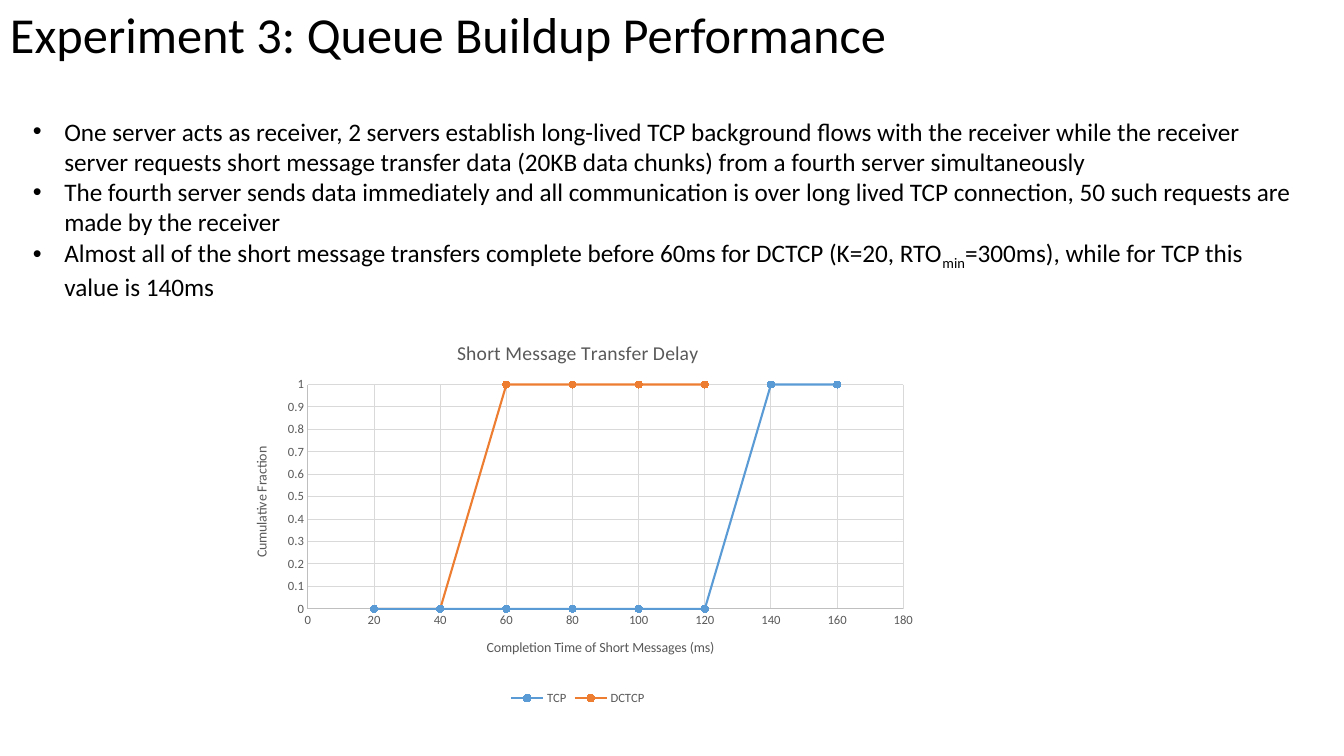
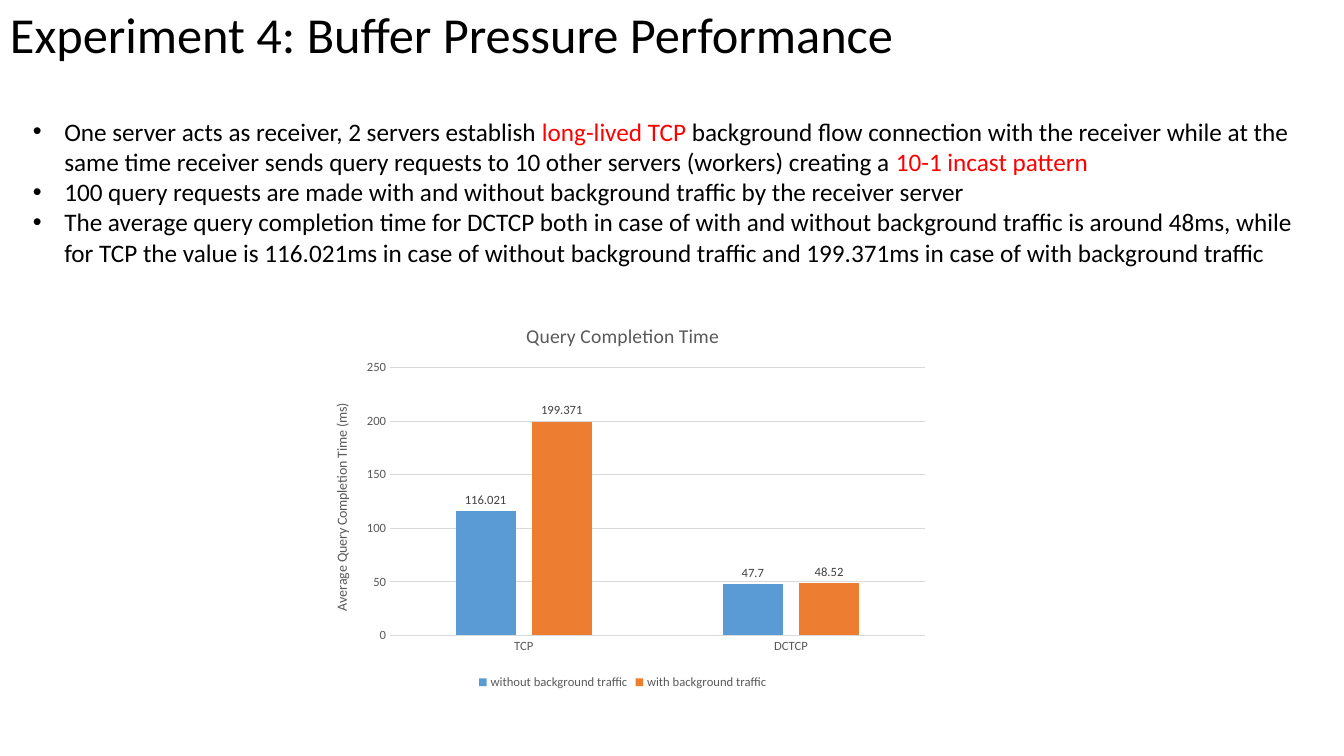
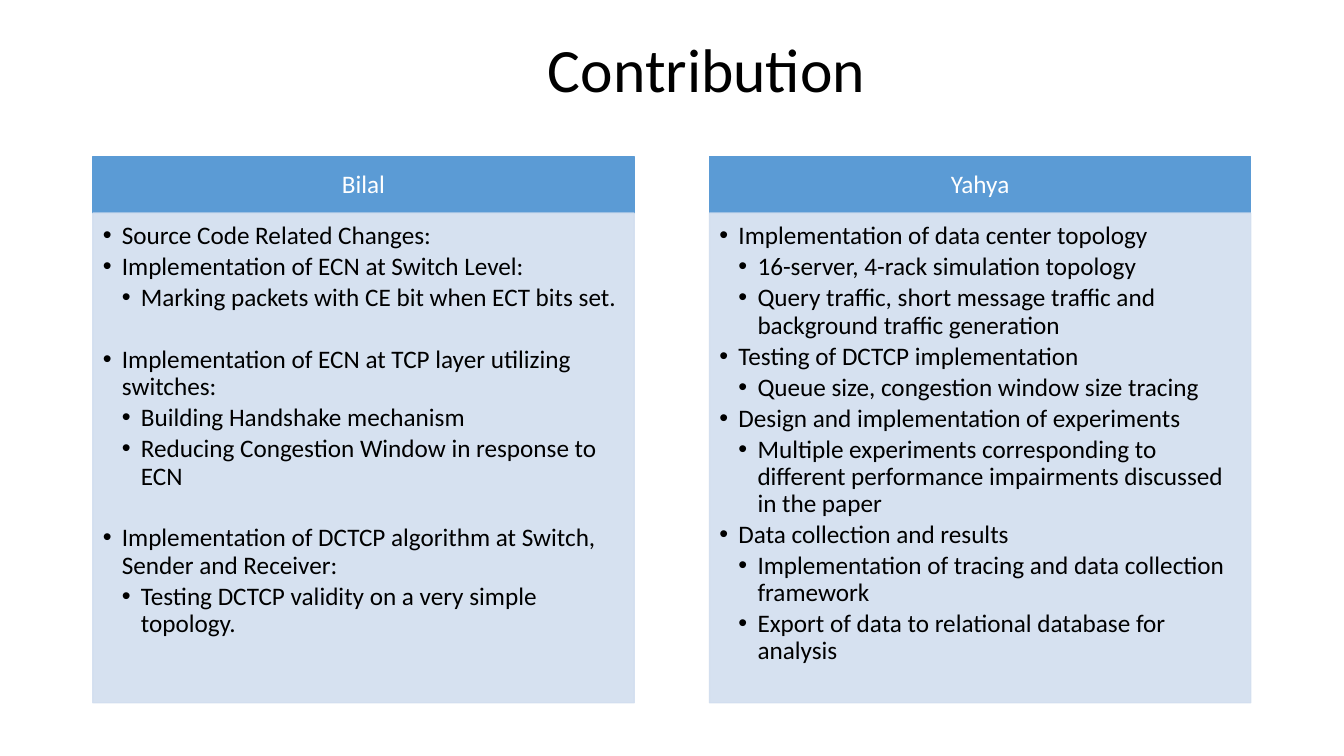
from lxml import etree
from pptx import Presentation, util as u
from pptx.chart import data
from pptx.dml.color import RGBColor
from pptx.enum import chart as ch, text
from pptx.oxml import ns

Cm, Pt = u.Cm, u.Pt
BLACK = RGBColor(0x00, 0x00, 0x00)
WHITE = RGBColor(0xFF, 0xFF, 0xFF)
RED = RGBColor(0xFF, 0x00, 0x00)
BLUE = RGBColor(0x5B, 0x9B, 0xD5)
ORANGE = RGBColor(0xED, 0x7D, 0x31)
PALE_BLUE = RGBColor(0xD2, 0xDE, 0xEF)
GREY = RGBColor(0x59, 0x59, 0x59)
LABEL_GREY = RGBColor(0x40, 0x40, 0x40)
AXIS_GREY = RGBColor(0xBF, 0xBF, 0xBF)
GRID_GREY = RGBColor(0xD9, 0xD9, 0xD9)
FONT = "Calibri"
TITLE_AND_CONTENT, COMPARISON = 1, 4


def style_font(font, size, color):
    """Apply the deck's regular face in one size and colour."""
    font.name, font.size, font.bold = FONT, Pt(size), False
    font.color.rgb = color


def subscript(run):
    """Lower a run below the baseline."""
    run.font.size = Pt(18)
    run._r.get_or_add_rPr().set("baseline", "-25000")


def highlight(run):
    """Colour a run red."""
    run.font.color.rgb = RED


class Deck:
    """Holds the shared style and the slide being built."""

    def __init__(self):
        self.prs = Presentation()
        self.prs.slide_width, self.prs.slide_height = Cm(33.87), Cm(19.05)
        self.slide = None

    def place(self, idx, box, anchor, insets=(0.25, 0.13, 0.25, 0.13)):
        """Move a placeholder and return it ready for text."""
        holder = next(p for p in self.slide.placeholders
                      if p.placeholder_format.idx == idx)
        holder.left, holder.top, holder.width, holder.height = map(Cm, box)
        frame = holder.text_frame
        frame.auto_size, frame.word_wrap = text.MSO_AUTO_SIZE.NONE, True
        frame.vertical_anchor = anchor
        (frame.margin_left, frame.margin_top,
         frame.margin_right, frame.margin_bottom) = map(Cm, insets)
        return holder

    def title(self, layout, wording, left=0, height=1.85, size=36):
        """Start a slide with its title."""
        self.slide = self.prs.slides.add_slide(self.prs.slide_layouts[layout])
        heading = self.place(0, (left, 0, 29.21, height),
                             text.MSO_ANCHOR.MIDDLE).text_frame
        heading.text = wording
        line = heading.paragraphs[0]
        line.alignment, line.line_spacing = text.PP_ALIGN.LEFT, 0.9
        style_font(line.runs[0].font, size, BLACK)

    def bullets(self, frame, groups, indent, spacing=1.0, after=0, accent=None):
        """Write groups of (level, wording); bars enclose accented words."""
        lines = [(level, wording, 22 if g and not i else 0)
                 for g, group in enumerate(groups)
                 for i, (level, wording) in enumerate(group)]
        for n, (level, wording, before) in enumerate(lines):
            line = frame.add_paragraph() if n else frame.paragraphs[0]
            line.level, line.line_spacing = level, spacing
            line.space_before, line.space_after = Pt(before), Pt(after)
            props = line._p.get_or_add_pPr()
            props.set("marL", str(Cm(indent * (level + 1))))
            props.set("indent", str(-Cm(indent)))
            etree.SubElement(props, ns.qn("a:buChar")).set("char", "•")
            for k, piece in enumerate(wording.split("|")):
                if piece:
                    run = line.add_run()
                    run.text = piece
                    style_font(run.font, 18, BLACK)
                    if k % 2:
                        accent(run)

    def findings(self, height, lines, accent):
        """Fill the body of an experiment slide."""
        body = self.place(1, (0.58, 2.79, 32.46, height), text.MSO_ANCHOR.TOP)
        self.bullets(body.text_frame, [[(0, line) for line in lines]], 0.79,
                     accent=accent)

    def panel(self, column, person, groups):
        """Draw a contributor's header and list."""
        left, width = 2.34 + 15.54 * column, 13.64
        header = self.place(1 + 2 * column, (left, 3.94, width, 1.44),
                            text.MSO_ANCHOR.MIDDLE, (0.36, 0.2, 0.36, 0.2))
        header.text_frame.text = person
        name = header.text_frame.paragraphs[0]
        name.alignment, name.line_spacing = text.PP_ALIGN.CENTER, 0.9
        name.space_before = Pt(0)
        style_font(name.runs[0].font, 18, WHITE)
        work = self.place(2 + 2 * column, (left, 5.37, width, 12.34),
                          text.MSO_ANCHOR.TOP, (0.25, 0.25, 0.36, 0.4))
        self.bullets(work.text_frame, groups, 0.48, 0.9, 2.7)
        for part, color in ((header, BLUE), (work, PALE_BLUE)):
            part.fill.solid()
            part.fill.fore_color.rgb = color
            part.line.color.rgb = color
            part.line.width = Pt(1)
        for tint in work._element.spPr.iter(ns.qn("a:srgbClr")):
            etree.SubElement(tint, ns.qn("a:alpha")).set("val", "90000")

    def chart(self, kind, box, heading, values, plot_box):
        """Add a chart with the shared title, legend and plot layout."""
        chart = self.slide.shapes.add_chart(kind, *map(Cm, box), values).chart
        style_font(chart.font, 10, BLACK)
        chart.has_title = True
        self.caption(chart.chart_title, heading, 14)
        chart.has_legend = True
        chart.legend.position = ch.XL_LEGEND_POSITION.BOTTOM
        chart.legend.include_in_layout = False
        style_font(chart.legend.font, 9, GREY)
        chart.plots[0].vary_by_categories = False
        area = chart.element.xpath(".//c:plotArea")[0]
        for old in area.findall(ns.qn("c:layout")):
            area.remove(old)
        layout = etree.Element(ns.qn("c:layout"))
        area.insert(0, layout)
        manual = etree.SubElement(layout, ns.qn("c:manualLayout"))
        settings = [("layoutTarget", "inner"), ("xMode", "edge"),
                    ("yMode", "edge"), *zip("xywh", map(str, plot_box))]
        for tag, value in settings:
            etree.SubElement(manual, ns.qn("c:" + tag)).set("val", value)
        return chart

    def caption(self, owner, wording, size):
        """Write a chart or axis title."""
        owner.text_frame.text = wording
        style_font(owner.text_frame.paragraphs[0].runs[0].font, size, GREY)

    def axis(self, axis, heading=None, line=None, grid=True, scale=None):
        """Style an axis; scale is (maximum, major unit)."""
        style_font(axis.tick_labels.font, 9, GREY)
        axis.major_tick_mark = axis.minor_tick_mark = ch.XL_TICK_MARK.NONE
        axis.has_major_gridlines = grid
        if grid:
            rule = axis.major_gridlines.format.line
            rule.color.rgb, rule.width = GRID_GREY, Pt(0.75)
        if line:
            axis.format.line.color.rgb = line
            axis.format.line.width = Pt(0.75)
        else:
            axis.format.line.fill.background()
        if heading:
            self.caption(axis.axis_title, heading, 10)
        if scale:
            axis.minimum_scale = 0
            axis.maximum_scale, axis.major_unit = scale

    def delay_chart(self):
        """Plot the short message delays."""
        delays = data.XyChartData()
        for name, fractions in (("TCP", (0, 0, 0, 0, 0, 0, 1, 1)),
                                ("DCTCP", (0, 0, 1, 1, 1, 1))):
            series = delays.add_series(name)
            for step, fraction in enumerate(fractions, 1):
                series.add_data_point(20 * step, fraction)
        chart = self.chart(ch.XL_CHART_TYPE.XY_SCATTER_LINES,
                           (5.84, 8.13, 17.45, 9.75),
                           "Short Message Transfer Delay", delays,
                           (0.11, 0.16, 0.86, 0.58))
        self.axis(chart.category_axis, "Completion Time of Short Messages (ms)",
                  AXIS_GREY, scale=(180, 20))
        self.axis(chart.value_axis, "Cumulative Fraction", AXIS_GREY,
                  scale=(1, 0.1))
        for series, color in zip(chart.plots[0].series, (BLUE, ORANGE)):
            series.smooth = False
            series.format.line.color.rgb = color
            series.format.line.width = Pt(1.5)
            marker = series.marker
            marker.style, marker.size = ch.XL_MARKER_STYLE.CIRCLE, 5
            marker.format.fill.solid()
            marker.format.fill.fore_color.rgb = color
            marker.format.line.color.rgb = color

    def query_chart(self):
        """Plot the query completion times."""
        times = data.CategoryChartData()
        times.categories = ["TCP", "DCTCP"]
        times.add_series("without background traffic", (116.021, 47.7))
        times.add_series("with background traffic", (199.371, 48.52))
        chart = self.chart(ch.XL_CHART_TYPE.COLUMN_CLUSTERED,
                           (7.77, 7.7, 15.85, 9.78),
                           "Query Completion Time", times,
                           (0.13, 0.16, 0.85, 0.69))
        self.axis(chart.category_axis, line=GRID_GREY, grid=False)
        self.axis(chart.value_axis, "Average Query Completion Time (ms)",
                  scale=(250, 50))
        plot = chart.plots[0]
        plot.gap_width, plot.overlap = 219, -27
        for series, color in zip(plot.series, (BLUE, ORANGE)):
            series.format.fill.solid()
            series.format.fill.fore_color.rgb = color
            labels = series.data_labels
            labels.show_value = True
            labels.position = ch.XL_LABEL_POSITION.OUTSIDE_END
            style_font(labels.font, 9, LABEL_GREY)


def main():
    """Build the three slides."""
    deck = Deck()

    deck.title(TITLE_AND_CONTENT, "Experiment 3: Queue Buildup Performance")
    deck.findings(5.46, [
        "One server acts as receiver, 2 servers establish long-lived TCP "
        "background flows with the receiver while the receiver server requests "
        "short message transfer data (20KB data chunks) from a fourth server "
        "simultaneously",
        "The fourth server sends data immediately and all communication is over "
        "long lived TCP connection, 50 such requests are made by the receiver",
        "Almost all of the short message transfers complete before 60ms for "
        "DCTCP (K=20, RTO|min|=300ms), while for TCP this value is 140ms",
    ], subscript)
    deck.delay_chart()

    deck.title(TITLE_AND_CONTENT, "Experiment 4: Buffer Pressure Performance")
    deck.findings(4.7, [
        "One server acts as receiver, 2 servers establish |long-lived TCP "
        "|background flow connection with the receiver while at the same time "
        "receiver sends query requests to 10 other servers (workers) creating a "
        "|10-1 incast pattern|",
        "100 query requests are made with and without background traffic by the "
        "receiver server",
        "The average query completion time for DCTCP both in case of with and "
        "without background traffic is around 48ms, while for TCP the value is "
        "116.021ms in case of without background traffic and 199.371ms in case "
        "of with background traffic",
    ], highlight)
    deck.query_chart()

    deck.title(COMPARISON, "Contribution", left=13.56, height=3.68, size=44)
    deck.panel(0, "Bilal", [
        [(0, "Source Code Related Changes:"),
         (0, "Implementation of ECN at Switch Level:"),
         (1, "Marking packets with CE bit when ECT bits set.")],
        [(0, "Implementation of ECN at TCP layer utilizing switches:"),
         (1, "Building Handshake mechanism"),
         (1, "Reducing Congestion Window in response to ECN")],
        [(0, "Implementation of DCTCP algorithm at Switch, Sender and Receiver:"),
         (1, "Testing DCTCP validity on a very simple topology.")],
    ])
    deck.panel(1, "Yahya", [[
        (0, "Implementation of data center topology"),
        (1, "16-server, 4-rack simulation topology"),
        (1, "Query traffic, short message traffic and background traffic "
            "generation"),
        (0, "Testing of DCTCP implementation"),
        (1, "Queue size, congestion window size tracing"),
        (0, "Design and implementation of experiments"),
        (1, "Multiple experiments corresponding to different performance "
            "impairments discussed in the paper"),
        (0, "Data collection and results"),
        (1, "Implementation of tracing and data collection framework"),
        (1, "Export of data to relational database for analysis"),
    ]])

    deck.prs.save("out.pptx")


if __name__ == "__main__":
    main()
